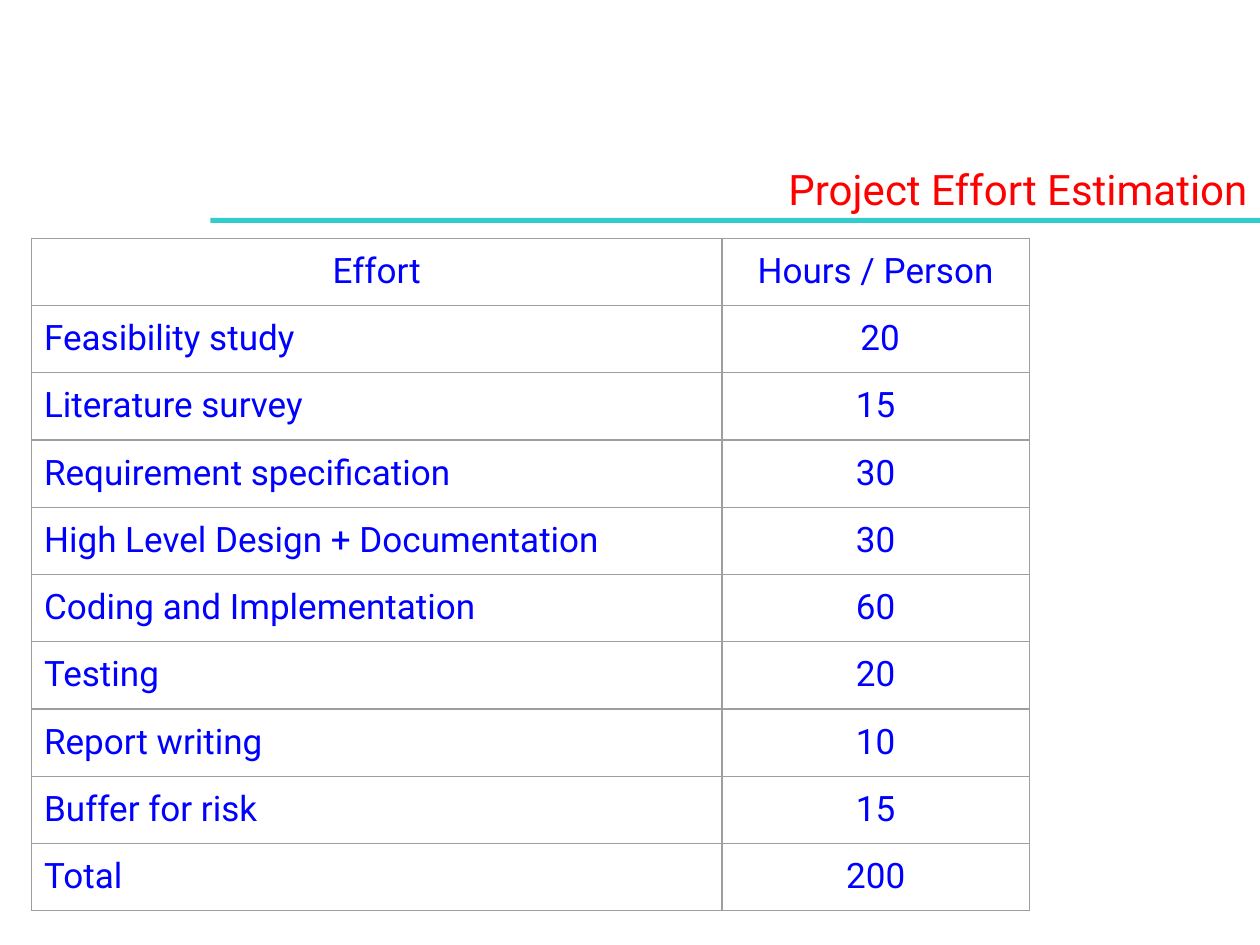
from lxml import etree
from pptx import Presentation
from pptx.dml.color import RGBColor
from pptx.enum.shapes import MSO_SHAPE
from pptx.enum.text import PP_ALIGN
from pptx.oxml.ns import qn
from pptx.util import Inches, Pt

LEFT, CENTER, RIGHT = PP_ALIGN.LEFT, PP_ALIGN.CENTER, PP_ALIGN.RIGHT
RECTANGLE = MSO_SHAPE.RECTANGLE

# Content
FONT = "Roboto"
RED, BLUE, TEAL, GREY = "FF0000", "0000FF", "33CCCC", "9E9E9E"
TITLE = "Project Effort Estimation"
ROWS = [
    ("Effort", "Hours / Person"),
    ("Feasibility study", " 20"),
    ("Literature survey", "15"),
    ("Requirement specification", "30"),
    ("High Level Design + Documentation", "30"),
    ("Coding and Implementation", "60"),
    ("Testing", "20"),
    ("Report writing", "10"),
    ("Buffer for risk", "15"),
    ("Total", "200"),
]
COLUMN_WIDTHS = [5.48, 2.44]
TABLE_HEIGHT = 5.27


def rgb(color):
    return RGBColor.from_string(color)


def write(tf, text, size, color, align):
    p = tf.paragraphs[0]
    p.text = text
    p.alignment = align
    p.font.name = FONT
    p.font.size = Pt(size)
    p.font.color.rgb = rgb(color)


def add_borders(cell, color, width):
    tc_pr = cell._tc.get_or_add_tcPr()
    for side in ("a:lnL", "a:lnR", "a:lnT", "a:lnB"):
        line = etree.SubElement(tc_pr, qn(side), w=str(Pt(width)))
        fill = etree.SubElement(line, qn("a:solidFill"))
        etree.SubElement(fill, qn("a:srgbClr"), val=color)


prs = Presentation()
prs.slide_width, prs.slide_height = Inches(10), Inches(7.5)
s = prs.slides.add_slide(prs.slide_layouts[6])

# Rule under the title
rule = s.shapes.add_shape(RECTANGLE, Inches(1.67), Inches(1.73), Inches(8.33), Inches(0.04))
rule.shadow.inherit = False
rule.fill.solid()
rule.fill.fore_color.rgb = rgb(TEAL)
rule.line.fill.background()

# Title
title = s.shapes.add_textbox(Inches(1.5), Inches(1.25), Inches(8.5), Inches(0.5))
title.text_frame.word_wrap = True
write(title.text_frame, TITLE, 24, RED, RIGHT)

# Effort table
table = s.shapes.add_table(
    len(ROWS), len(COLUMN_WIDTHS), Inches(0.25), Inches(1.89),
    Inches(sum(COLUMN_WIDTHS)), Inches(TABLE_HEIGHT)).table
table.first_row = table.horz_banding = False
for column, width in zip(table.columns, COLUMN_WIDTHS):
    column.width = Inches(width)

for i, row in enumerate(ROWS):
    for j, text in enumerate(row):
        cell = table.cell(i, j)
        cell.margin_left = cell.margin_right = Inches(0.1)
        cell.margin_top = cell.margin_bottom = Inches(0.1)
        add_borders(cell, GREY, 0.75)
        cell.fill.background()
        is_label = i > 0 and j == 0
        write(cell.text_frame, text, 20, BLUE, LEFT if is_label else CENTER)

prs.save("out.pptx")
